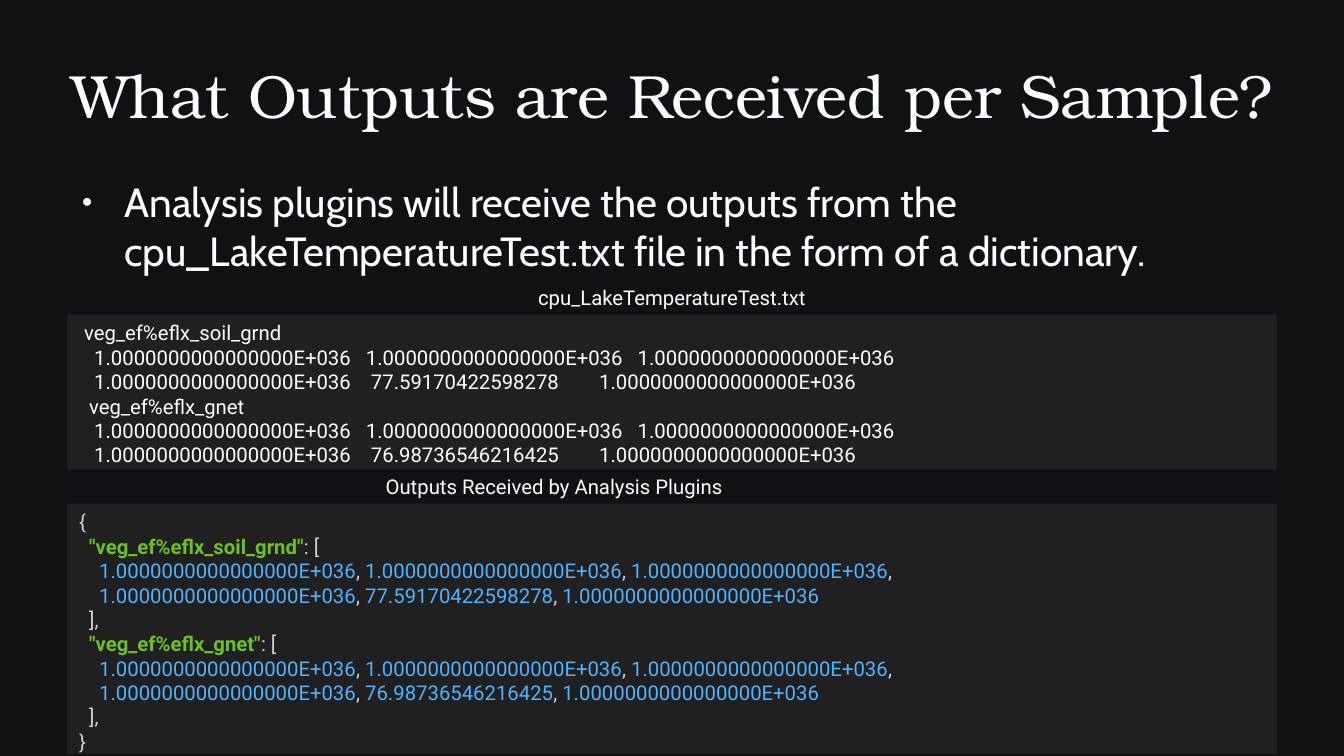
from dataclasses import dataclass

from lxml.etree import SubElement
from pptx import Presentation
from pptx.dml.color import RGBColor
from pptx.enum.shapes import MSO_SHAPE
from pptx.enum.text import MSO_ANCHOR, MSO_AUTO_SIZE, PP_ALIGN
from pptx.oxml.ns import qn
from pptx.util import Inches, Pt

# Content
TITLE = "What Outputs are Received per Sample?"
BULLET = ("Analysis plugins will receive the outputs from the "
          "cpu_LakeTemperatureTest.txt file in the form of a dictionary.")
FILE_CAPTION = "cpu_LakeTemperatureTest.txt"
PLUGIN_CAPTION = "Outputs Received by Analysis Plugins"
FILL_VALUE = "1.0000000000000000E+036"
# Variable name, its indent in the file, its one measured value
VARIABLES = [
    ("veg_ef%eflx_soil_grnd", " ", "77.59170422598278"),
    ("veg_ef%eflx_gnet", "  ", "76.98736546216425"),
]


@dataclass(frozen=True)
class Theme:
    background: str = "0F1112"
    panel: str = "202020"
    text: str = "FFFFFF"
    punctuation: str = "D0D0D0"
    key: str = "6EBF26"
    number: str = "51B2FD"
    title_font: str = "TeX Gyre Bonum"
    body_font: str = "Cabin"
    code_font: str = "Roboto"
    title_size: int = 36
    body_size: int = 24
    code_size: int = 12


THEME = Theme()

# Layout in inches
LEFT, WIDTH = 0.55, 9.92
CAPTION_HEIGHT = 0.29


def file_lines():
    """Lines of the text file, each a list of (text, colour) spans."""
    lines = []
    for name, indent, value in VARIABLES:
        lines += [indent + name,
                  "   " + "   ".join([FILL_VALUE] * 3),
                  f"   {FILL_VALUE}    {value}        {FILL_VALUE}"]
    return [[(line, THEME.text)] for line in lines]


def number_line(values, ending):
    spans = [("    ", THEME.number)]
    for position, value in enumerate(values):
        separator = ", " if position < len(values) - 1 else ending
        spans.append((value, THEME.number))
        if separator:
            spans.append((separator, THEME.punctuation))
    return spans


def dictionary_lines():
    """Lines of the dictionary, each a list of (text, colour) spans."""
    lines = [[("{", THEME.punctuation)]]
    for name, _, value in VARIABLES:
        lines += [[("  ", THEME.punctuation), (f'"{name}"', THEME.key), (": [", THEME.punctuation)],
                  number_line([FILL_VALUE] * 3, ","),
                  number_line([FILL_VALUE, value, FILL_VALUE], ""),
                  [("  ],", THEME.punctuation)]]
    return lines + [[("}", THEME.punctuation)]]


def place(shape, left, top, width, height):
    shape.left, shape.top = Inches(left), Inches(top)
    shape.width, shape.height = Inches(width), Inches(height)


def prepare_frame(shape, anchor, side=0.1, edge=0.05):
    frame = shape.text_frame
    frame.word_wrap = True
    frame.auto_size = MSO_AUTO_SIZE.NONE
    frame.vertical_anchor = anchor
    frame.margin_left = frame.margin_right = Inches(side)
    frame.margin_top = frame.margin_bottom = Inches(edge)
    return frame


def add_span(para, text, font, size, colour, bold=False):
    span = para.add_run()
    span.text = text
    span.font.name = font
    span.font.size = Pt(size)
    span.font.bold = bold
    span.font.color.rgb = RGBColor.from_string(colour)


def add_bullet(para, indent, hanging):
    properties = para._p.get_or_add_pPr()
    properties.set("marL", str(Inches(indent)))
    properties.set("indent", str(-Inches(hanging)))
    colour = SubElement(properties, qn("a:buClr"))
    SubElement(colour, qn("a:srgbClr"), val=THEME.text)
    SubElement(properties, qn("a:buSzPct"), val="45000")
    SubElement(properties, qn("a:buChar"), char="●")


def add_caption(page, text, top, width):
    box = page.shapes.add_textbox(Inches(LEFT), Inches(top), Inches(width), Inches(CAPTION_HEIGHT))
    para = prepare_frame(box, MSO_ANCHOR.TOP).paragraphs[0]
    para.alignment = PP_ALIGN.CENTER
    add_span(para, text, THEME.code_font, THEME.code_size, THEME.text)


def add_code_panel(page, lines, top, height):
    panel = page.shapes.add_shape(MSO_SHAPE.RECTANGLE, Inches(LEFT), Inches(top),
                                  Inches(WIDTH), Inches(height))
    panel.shadow.inherit = False
    panel.fill.solid()
    panel.fill.fore_color.rgb = RGBColor.from_string(THEME.panel)
    panel.line.fill.background()
    frame = prepare_frame(panel, MSO_ANCHOR.TOP)
    for number, spans in enumerate(lines):
        para = frame.add_paragraph() if number else frame.paragraphs[0]
        para.alignment = PP_ALIGN.LEFT
        for text, colour in spans:
            add_span(para, text, THEME.code_font, THEME.code_size, colour,
                     bold=colour == THEME.key)


def main():
    deck = Presentation()
    deck.slide_width, deck.slide_height = Inches(11.02), Inches(6.2)
    page = deck.slides.add_slide(deck.slide_layouts[1])
    page.background.fill.solid()
    page.background.fill.fore_color.rgb = RGBColor.from_string(THEME.background)

    # Title
    title = page.shapes.title
    place(title, LEFT, 0.25, WIDTH, 1.04)
    para = prepare_frame(title, MSO_ANCHOR.MIDDLE, 0, 0).paragraphs[0]
    para.alignment = PP_ALIGN.CENTER
    add_span(para, TITLE, THEME.title_font, THEME.title_size, THEME.text)

    # Bullet
    body = page.placeholders[1]
    place(body, LEFT, 1.45, WIDTH, 3.6)
    para = prepare_frame(body, MSO_ANCHOR.TOP, 0, 0).paragraphs[0]
    para.space_before = Pt(0)
    add_bullet(para, 0.47, 0.35)
    add_span(para, BULLET, THEME.body_font, THEME.body_size, THEME.text)

    # Text file
    add_code_panel(page, file_lines(), 2.58, 1.27)
    add_caption(page, FILE_CAPTION, 2.58 - CAPTION_HEIGHT, WIDTH)

    # Dictionary
    add_code_panel(page, dictionary_lines(), 4.13, 2.05)
    add_caption(page, PLUGIN_CAPTION, 4.13 - CAPTION_HEIGHT, 7.99)

    deck.save("out.pptx")


if __name__ == "__main__":
    main()
